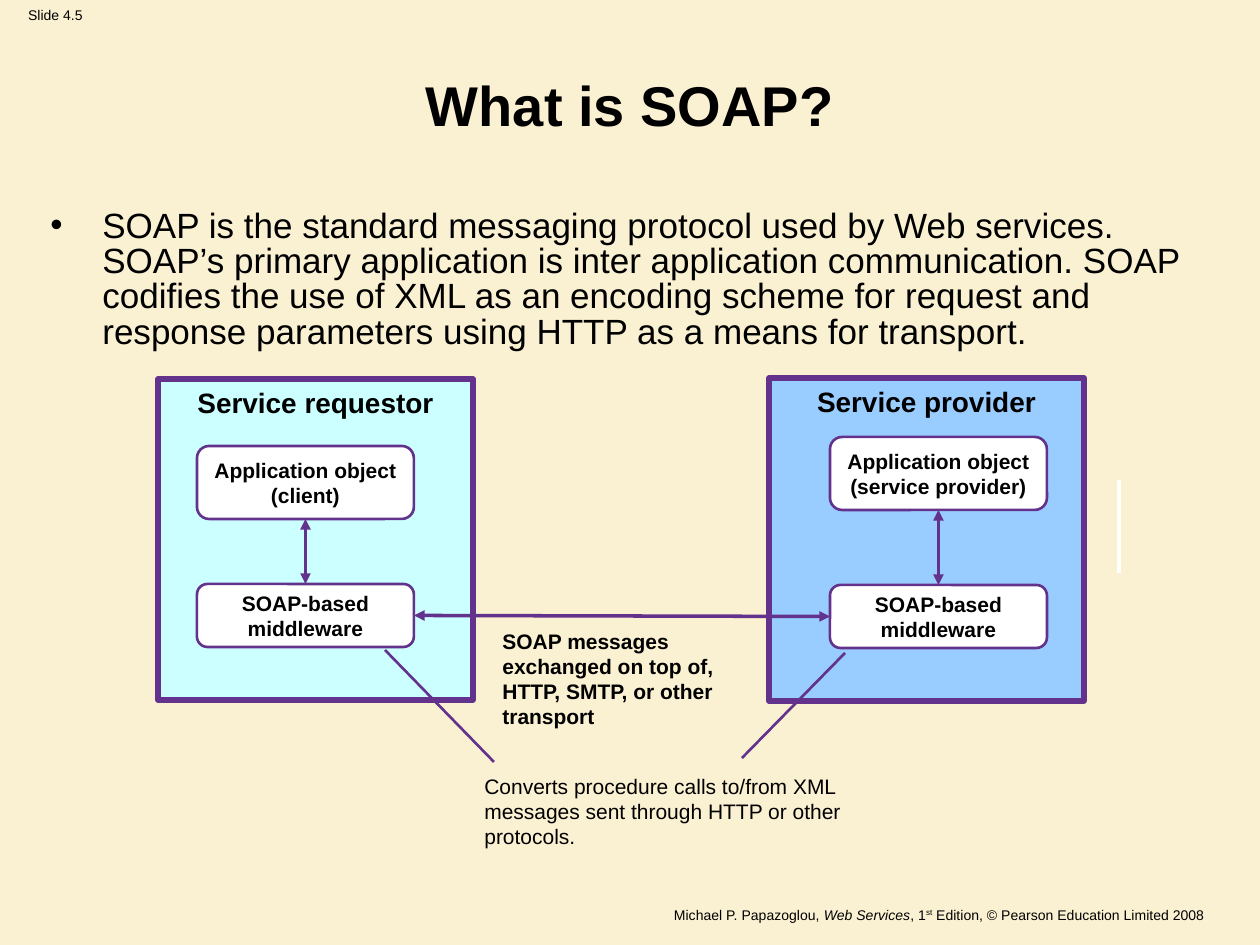
from pptx import Presentation
from pptx.dml.color import RGBColor
from pptx.enum.shapes import MSO_CONNECTOR as Link, MSO_SHAPE as Shape
from pptx.enum.text import MSO_ANCHOR as Anchor, PP_ALIGN as Align
from pptx.oxml.ns import qn
from pptx.util import Pt
from lxml.etree import SubElement

SCALE = 914400 / 126
TOP, LEFT, BOTTOM, RIGHT = range(4)


def px(length):
    return round(length * SCALE)


def color(value):
    return RGBColor.from_string(value)


class SlideBuilder:
    FONT = "Arial"
    INK = "000000"
    PURPLE = "62328C"
    WHITE = "FFFFFF"

    def __init__(self, slide, background):
        self.slide = slide
        slide.background.fill.solid()
        slide.background.fill.fore_color.rgb = color(background)

    def span(self, para, text, size, bold=False, italic=False, baseline=None):
        span = para.add_run()
        span.text = text
        span.font.name = self.FONT
        span.font.size = Pt(size)
        span.font.bold = bold
        span.font.italic = italic
        span.font.color.rgb = color(self.INK)
        if baseline:
            span._r.get_or_add_rPr().set("baseline", str(baseline * 1000))

    def fill_text(self, box, lines, size, bold=False, align=Align.LEFT, anchor=Anchor.TOP):
        frame = box.text_frame
        frame.word_wrap = True
        frame.vertical_anchor = anchor
        for index, line in enumerate(lines):
            para = frame.add_paragraph() if index else frame.paragraphs[0]
            para.alignment = align
            for text, style in line if isinstance(line, list) else [(line, {})]:
                self.span(para, text, size, bold, **style)
        return box

    def text(self, area, lines, size, **style):
        box = self.slide.shapes.add_textbox(*map(px, area))
        return self.fill_text(box, lines, size, **style)

    def bullet(self, area, text, size, indent, spacing):
        box = self.text(area, [text], size)
        para = box.text_frame.paragraphs[0]
        properties = para._p.get_or_add_pPr()
        properties.set("marL", str(px(indent)))
        properties.set("indent", str(-px(indent)))
        SubElement(properties, qn("a:buFont")).set("typeface", self.FONT)
        SubElement(properties, qn("a:buChar")).set("char", "•")
        para.line_spacing = spacing

    def shape(self, kind, area, fill, width, lines, size, anchor):
        box = self.slide.shapes.add_shape(kind, *map(px, area))
        box.shadow.inherit = False
        box.fill.solid()
        box.fill.fore_color.rgb = color(fill)
        box.line.color.rgb = color(self.PURPLE)
        box.line.width = Pt(width)
        return self.fill_text(box, lines, size, bold=True, align=Align.CENTER, anchor=anchor)

    def panel(self, area, fill, label):
        return self.shape(Shape.RECTANGLE, area, fill, 3, [label], 16, Anchor.TOP)

    def component(self, area, lines):
        return self.shape(Shape.ROUNDED_RECTANGLE, area, self.WHITE, 1.5, lines, 12, Anchor.MIDDLE)

    def line(self, points, width, stroke=PURPLE):
        line = self.slide.shapes.add_connector(Link.STRAIGHT, *map(px, points))
        line.line.color.rgb = color(stroke)
        line.line.width = Pt(width)
        SubElement(line._element.spPr, qn("a:effectLst"))
        return line

    def exchange(self, start, start_side, end, end_side):
        arrow = self.line((0, 0, 0, 0), 2)
        arrow.begin_connect(start, start_side)
        arrow.end_connect(end, end_side)
        outline = arrow._element.spPr.find(qn("a:ln"))
        for tip in ("a:headEnd", "a:tailEnd"):
            SubElement(outline, qn(tip)).set("type", "triangle")


def main():
    deck = Presentation()
    deck.slide_width, deck.slide_height = px(1260), px(945)
    page = SlideBuilder(deck.slides.add_slide(deck.slide_layouts[6]), "FAF0D2")

    page.text((0, 0, 111, 30), ["Slide 4.5"], 8, align=Align.CENTER)
    citation = [
        ("Michael P. Papazoglou, ", {}),
        ("Web Services", {"italic": True}),
        (", 1", {}),
        ("st", {"baseline": 30}),
        (" Edition, © Pearson Education Limited 2008 ", {}),
    ]
    page.text((30, 900, 1191, 27), [citation], 8, align=Align.RIGHT)
    page.text((21, 39, 1218, 105), ["What is SOAP?"], 32, bold=True,
              align=Align.CENTER, anchor=Anchor.BOTTOM)
    page.bullet(
        (38, 204, 1169, 147),
        "SOAP is the standard messaging protocol used by Web services. "
        "SOAP’s primary application is inter application communication. "
        "SOAP codifies the use of XML as an encoding scheme for request and "
        "response parameters using HTTP as a means for transport.",
        20, 52, 0.84)

    sides = [
        ("Service provider", "99CCFF", (769, 378, 315, 323), 830, 437, 585, "(service provider)"),
        ("Service requestor", "CCFFFF", (158, 379, 315, 321), 197, 446, 584, "(client)"),
    ]
    middleware = []
    for label, fill, area, left, object_top, middleware_top, role in sides:
        page.panel(area, fill, label)
        application = page.component((left, object_top, 217, 73), ["Application object", role])
        middleware.append(page.component((left, middleware_top, 217, 63), ["SOAP-based middleware"]))
        page.exchange(application, BOTTOM, middleware[-1], TOP)
    provider, requestor = middleware
    page.exchange(requestor, RIGHT, provider, LEFT)

    page.text((490, 622, 282, 113),
              ["SOAP messages exchanged on top of, HTTP, SMTP, or other transport"], 12, bold=True)
    page.line((494, 762, 385, 650), 1.5)
    page.line((742, 758, 845, 653), 1.5)
    page.line((1119, 480, 1119, 573), 2, page.WHITE)
    page.text((472, 767, 402, 126),
              ["Converts procedure calls to/from XML messages sent through HTTP or other protocols."], 12)

    deck.save("out.pptx")


if __name__ == "__main__":
    main()
